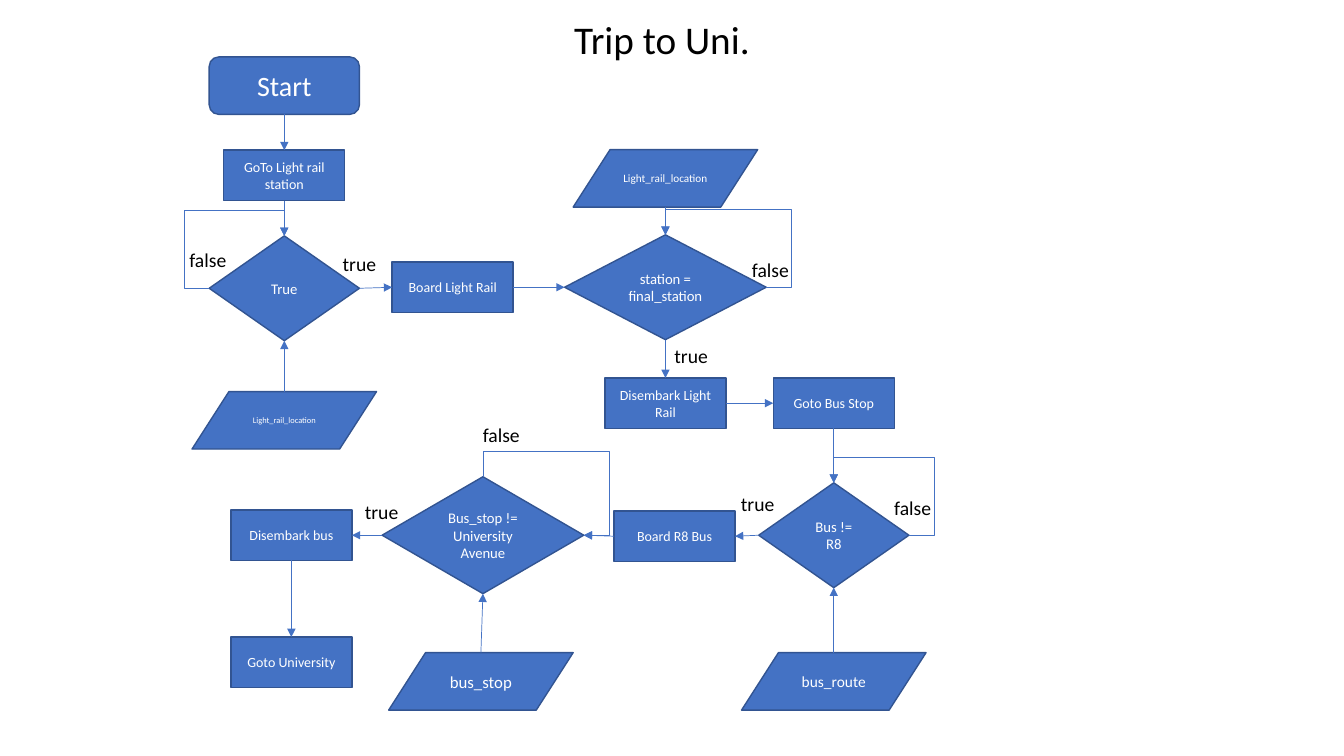
from lxml import etree
from pptx import Presentation
from pptx.dml.color import RGBColor
from pptx.enum.shapes import MSO_CONNECTOR as LINE, MSO_SHAPE as SHAPE
from pptx.enum.text import MSO_ANCHOR as ANCHOR, MSO_AUTO_SIZE as AUTO, PP_ALIGN as ALIGN
from pptx.oxml.ns import qn
from pptx.util import Inches, Pt

FONT = "Calibri"
COLORS = {"fill": "4472C4", "edge": "325491", "light": "FFFFFF", "dark": "000000"}
TOP, LEFT, BOTTOM, RIGHT = range(4)
LOOP_GAP = 0.25

# kind: preset shape, width, height
KINDS = {
    "start": (SHAPE.ROUNDED_RECTANGLE, 1.49, 0.57),
    "step": (SHAPE.RECTANGLE, 1.2, 0.5),
    "data": (SHAPE.FLOWCHART_DATA, 1.83, 0.57),
    "test": (SHAPE.DIAMOND, 1.49, 1.04),
    "wide test": (SHAPE.DIAMOND, 2, 1.04),
    "tall test": (SHAPE.DIAMOND, 2, 1.16),
}

# name: kind, centre x, centre y, text, text size
NODES = {
    "start": ("start", 2.82, 0.85, "Start", 20),
    "go to rail": ("step", 2.82, 1.74, "GoTo Light rail station", 10),
    "at rail": ("test", 2.82, 2.86, "True", 10.5),
    "rail location": ("data", 2.82, 4.17, "Light_rail_location", 6),
    "board rail": ("step", 4.49, 2.85, "Board Light Rail", 10),
    "train location": ("data", 6.6, 1.77, "Light_rail_location", 8),
    "at final": ("wide test", 6.6, 2.85, "station = final_station", 10.5),
    "leave rail": ("step", 6.6, 4, "Disembark Light Rail", 10),
    "go to bus": ("step", 8.27, 4, "Goto Bus Stop", 10),
    "is bus": ("test", 8.27, 5.31, "Bus != R8", 10.5),
    "bus route": ("data", 8.27, 6.76, "bus_route", 11),
    "board bus": ("step", 6.69, 5.32, "Board R8 Bus", 10),
    "at stop": ("tall test", 4.79, 5.31, "Bus_stop != University Avenue", 10.5),
    "bus stop": ("data", 4.77, 6.76, "bus_stop", 12),
    "leave bus": ("step", 2.89, 5.31, "Disembark bus", 10),
    "university": ("step", 2.89, 6.57, "Goto University", 10),
}

# from, side, to, side
ARROWS = [
    ("start", BOTTOM, "go to rail", TOP),
    ("go to rail", BOTTOM, "at rail", TOP),
    ("rail location", TOP, "at rail", BOTTOM),
    ("at rail", RIGHT, "board rail", LEFT),
    ("board rail", RIGHT, "at final", LEFT),
    ("train location", BOTTOM, "at final", TOP),
    ("at final", BOTTOM, "leave rail", TOP),
    ("leave rail", RIGHT, "go to bus", LEFT),
    ("go to bus", BOTTOM, "is bus", TOP),
    ("bus route", TOP, "is bus", BOTTOM),
    ("is bus", LEFT, "board bus", RIGHT),
    ("board bus", LEFT, "at stop", RIGHT),
    ("bus stop", TOP, "at stop", BOTTOM),
    ("at stop", LEFT, "leave bus", RIGHT),
    ("leave bus", BOTTOM, "university", TOP),
]

# test, side of the loop, line end with the arrowhead (headEnd is the side, tailEnd the top)
LOOPS = [
    ("at rail", LEFT, "tailEnd"),
    ("at final", RIGHT, "tailEnd"),
    ("is bus", RIGHT, "tailEnd"),
    ("at stop", RIGHT, "headEnd"),
]

# text, left, top
LABELS = [
    ("false", 1.78, 2.41), ("true", 3.3, 2.45), ("false", 7.36, 2.51), ("true", 6.59, 3.36),
    ("true", 7.25, 4.83), ("false", 8.77, 4.87), ("true", 3.52, 4.91), ("false", 4.69, 4.15),
]


def rgb(name):
    return RGBColor.from_string(COLORS[name])


def write(tf, text, size, color, align=ALIGN.LEFT):
    tf.word_wrap = True
    p = tf.paragraphs[0]
    p.alignment = align
    r = p.add_run()
    r.text = text
    r.font.name, r.font.size = FONT, Pt(size)
    r.font.color.rgb = rgb(color)
    return p


def side_point(name, side):
    kind, x, y = NODES[name][:3]
    w, h = KINDS[kind][1:]
    dx, dy = [(0, -h / 2), (-w / 2, 0), (0, h / 2), (w / 2, 0)][side]
    return x + dx, y + dy


def add_line(kind, begin, end, arrow_end):
    c = slide.shapes.add_connector(kind, *(Inches(v) for v in begin + end))
    c.line.color.rgb, c.line.width = rgb("fill"), Pt(0.5)
    ln = c.line._get_or_add_ln()
    etree.SubElement(ln, qn("a:" + arrow_end), type="triangle")
    etree.SubElement(c._element.spPr, qn("a:effectLst"))
    return c


prs = Presentation()
prs.slide_width, prs.slide_height = Inches(13.33), Inches(7.5)
slide = prs.slides.add_slide(prs.slide_layouts[5])

# Title
title = slide.shapes.title
title.left, title.top, title.width, title.height = map(Inches, (2.87, 0.1, 7.39, 0.57))
tf = title.text_frame
tf.auto_size, tf.vertical_anchor = AUTO.NONE, ANCHOR.BOTTOM
write(tf, "Trip to Uni.", 28, "dark", ALIGN.CENTER).line_spacing = 0.9

# Flowchart nodes
shapes = {}
for name, (kind, x, y, text, size) in NODES.items():
    preset, w, h = KINDS[kind]
    sp = slide.shapes.add_shape(preset, *map(Inches, (x - w / 2, y - h / 2, w, h)))
    sp.shadow.inherit = False
    sp.fill.solid()
    sp.fill.fore_color.rgb = rgb("fill")
    sp.line.color.rgb, sp.line.width = rgb("edge"), Pt(1)
    sp.text_frame.vertical_anchor = ANCHOR.MIDDLE
    write(sp.text_frame, text, size, "light", ALIGN.CENTER)
    shapes[name] = sp

# Straight arrows, joined to all but the slanted data shapes
for source, out_side, target, in_side in ARROWS:
    c = add_line(LINE.STRAIGHT, side_point(source, out_side), side_point(target, in_side), "tailEnd")
    if NODES[source][0] != "data":
        c.begin_connect(shapes[source], out_side)
    c.end_connect(shapes[target], in_side)

# Loops that run out from the side of a test and back in at its top
for name, side, arrow_end in LOOPS:
    c = add_line(LINE.ELBOW, side_point(name, side), side_point(name, TOP), arrow_end)
    geom = c._element.spPr.find(qn("a:prstGeom"))
    geom.set("prst", "bentConnector4")
    w, h = KINDS[NODES[name][0]][1:]
    bends = {"adj1": -LOOP_GAP / (w / 2), "adj2": 1 + LOOP_GAP / (h / 2)}
    for adj, share in bends.items():
        etree.SubElement(geom.find(qn("a:avLst")), qn("a:gd"), name=adj, fmla=f"val {round(share * 100000)}")

# Branch labels
for text, x, y in LABELS:
    box = slide.shapes.add_textbox(*map(Inches, (x, y, 0.68, 0.34)))
    write(box.text_frame, text, 14, "dark")
    box.text_frame.auto_size = AUTO.SHAPE_TO_FIT_TEXT

prs.save("out.pptx")
